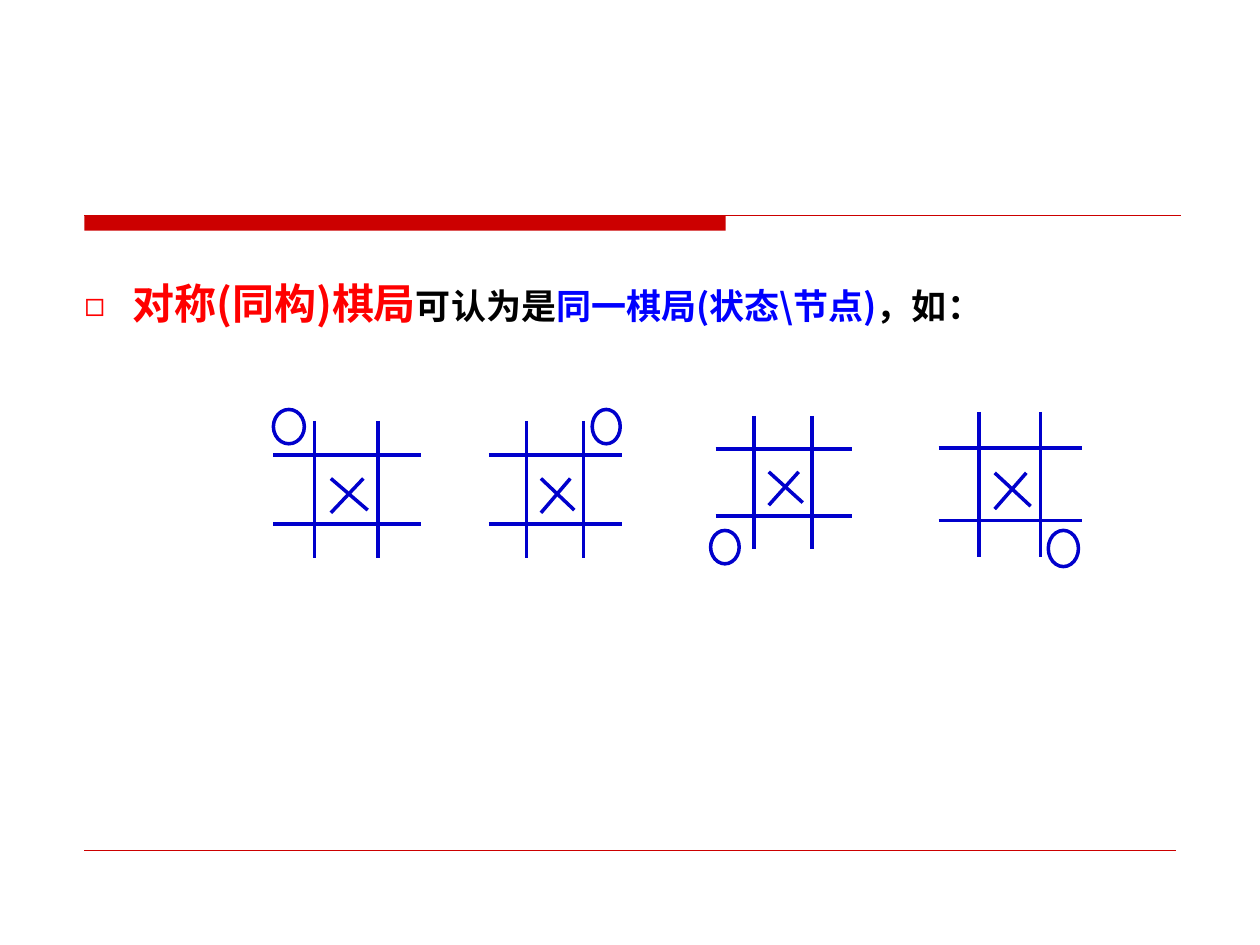
from dataclasses import dataclass

from lxml.etree import SubElement as Sub
from pptx import Presentation
from pptx.dml.color import RGBColor as Rgb
from pptx.enum.shapes import MSO_CONNECTOR as Conn, MSO_SHAPE as Form
from pptx.enum.text import MSO_ANCHOR as Anchor, MSO_AUTO_SIZE as Fit, PP_ALIGN as Align
from pptx.oxml.ns import qn
from pptx.util import Inches, Pt


@dataclass(frozen=True)
class Theme:
    bar: str = "CC0000"
    grid: str = "0000CC"
    red: str = "FF0000"
    blue: str = "0000FF"
    black: str = "000000"
    big: int = 24
    text: int = 20
    latin: str = "Times New Roman"
    asian: str = "Noto Sans CJK SC"


def add_run(para, text, size, color, font, asian):
    run = para.add_run()
    run.text = text
    run.font.size = Pt(size)
    run.font.bold = True
    run.font.name = font
    run.font.color.rgb = Rgb.from_string(color)
    Sub(run.font._element, qn("a:ea"), typeface=asian)


class Deck:
    """Builds one slide in a single style."""

    def __init__(self, theme):
        self.theme = theme
        self.file = Presentation()
        self.file.slide_width, self.file.slide_height = Inches(10), Inches(7.5)
        self.slide = self.file.slides.add_slide(self.file.slide_layouts[1])
        title = self.slide.shapes.title.element
        title.getparent().remove(title)

    def line(self, x1, y1, x2, y2, color, width, shapes=None):
        shapes = shapes or self.slide.shapes
        ends = [Inches(v) for v in (x1, y1, x2, y2)]
        line = shapes.add_connector(Conn.STRAIGHT, *ends)
        line.line.color.rgb = Rgb.from_string(color)
        line.line.width = Pt(width)
        Sub(line._element.spPr, qn("a:effectLst"))

    def shape(self, form, x, y, w, h, fill=None, edge=None, shapes=None):
        shapes = shapes or self.slide.shapes
        shape = shapes.add_shape(form, *[Inches(v) for v in (x, y, w, h)])
        shape.shadow.inherit = False
        if fill:
            shape.fill.solid()
            shape.fill.fore_color.rgb = Rgb.from_string(fill)
        else:
            shape.fill.background()
        if edge:
            shape.line.color.rgb = Rgb.from_string(edge)
            shape.line.width = Pt(2)
        else:
            shape.line.fill.background()

    def board(self, x, y, w, h, ring):
        shapes = self.slide.shapes.add_group_shape().shapes
        rows = [(0, r, 1, r) for r in (0.25, 0.75)]
        cols = [(c, 0, c, 1) for c in (0.28, 0.71)]
        cross = [(0.61, 0.42, 0.39, 0.67), (0.39, 0.42, 0.64, 0.65)]
        for a, b, c, d in rows + cols + cross:
            self.line(x + a * w, y + b * h, x + c * w, y + d * h,
                      self.theme.grid, 2, shapes)
        self.shape(Form.OVAL, *ring, 0.21 * w, 0.25 * h,
                   edge=self.theme.grid, shapes=shapes)

    def body(self, x, y, w, h, runs):
        box = self.slide.placeholders[1]
        box.left, box.top, box.width, box.height = [Inches(v) for v in (x, y, w, h)]
        frame = box.text_frame
        frame.margin_left = frame.margin_right = 0
        frame.margin_top = frame.margin_bottom = 0
        frame.word_wrap = True
        frame.auto_size = Fit.SHAPE_TO_FIT_TEXT
        frame.vertical_anchor = Anchor.TOP
        para = frame.paragraphs[0]
        props = para._p.get_or_add_pPr()
        props.set("marL", str(Inches(0.38)))
        props.set("indent", str(-Inches(0.38)))
        tint = Sub(props, qn("a:buClr"))
        Sub(tint, qn("a:srgbClr"), val=self.theme.red)
        Sub(props, qn("a:buSzPct"), val="80000")
        Sub(props, qn("a:buFont"), typeface=self.theme.asian)
        Sub(props, qn("a:buChar"), char="◻")
        para.alignment = Align.LEFT
        para.line_spacing = 1.5
        para.space_before = Pt(0)
        for text, size, color, font in runs:
            add_run(para, text, size=size, color=color, font=font,
                    asian=self.theme.asian)


def main():
    look = Theme()
    deck = Deck(look)
    deck.shape(Form.RECTANGLE, 0.67, 1.71, 5.09, 0.12, fill=look.bar)
    deck.line(0.67, 1.71, 9.37, 1.71, look.bar, 0.75)
    deck.line(0.67, 6.75, 9.33, 6.75, look.bar, 0.25)
    boards = [
        (2.17, 3.34, 1.17, 1.09, (2.17, 3.25)),
        (3.88, 3.34, 1.06, 1.09, (4.7, 3.25)),
        (5.68, 3.3, 1.08, 1.06, (5.64, 4.21)),
        (7.45, 3.27, 1.14, 1.15, (8.32, 4.21)),
    ]
    for board in boards:
        deck.board(*board)
    deck.body(0.67, 2, 7.24, 0.61, [
        ("对称", look.big, look.red, look.latin),
        ("(同构)", look.big, look.red, look.asian),
        ("棋局", look.big, look.red, look.latin),
        ("可认为是", look.text, look.black, look.latin),
        ("同一", look.text, look.blue, look.latin),
        ("棋局(状态\\节点)", look.text, look.blue, look.asian),
        ("，如：", look.text, look.black, look.latin),
    ])
    deck.file.save("out.pptx")


if __name__ == "__main__":
    main()
